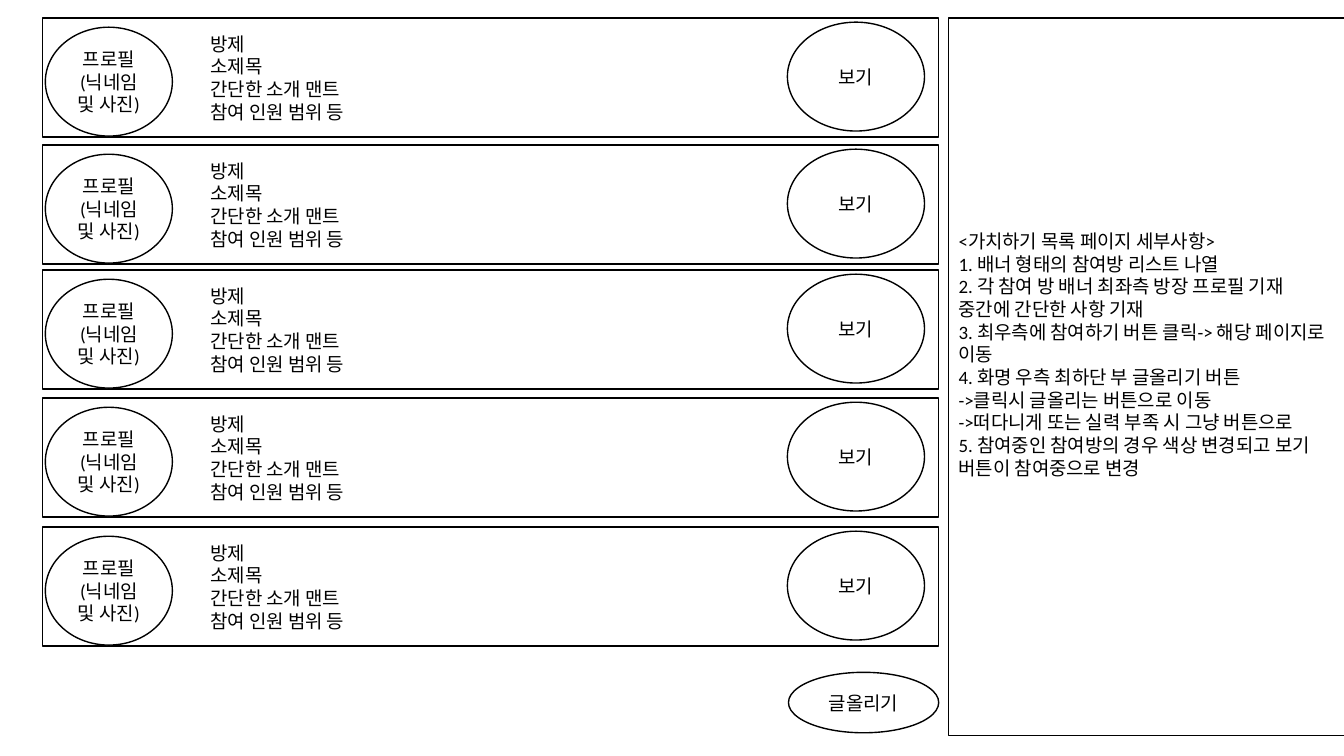
"""Build the wireframe slide of the room list page with its detail notes."""
from dataclasses import dataclass

from pptx import Presentation
from pptx.dml.color import RGBColor
from pptx.enum.shapes import MSO_SHAPE as Shape
from pptx.enum.text import MSO_ANCHOR as Anchor, MSO_AUTO_SIZE as AutoSize, PP_ALIGN as Align
from pptx.util import Inches, Pt


@dataclass(frozen=True)
class Theme:
    paper: RGBColor = RGBColor(0xFF, 0xFF, 0xFF)
    ink: RGBColor = RGBColor(0, 0, 0)
    font: str = "Calibri"
    size: Pt = Pt(13.5)
    outline: Pt = Pt(1)


theme = Theme()
ROW_TOPS = [0.18, 1.44, 2.68, 3.95, 5.23]
ROOM_LINES = ["방제", "소제목", "간단한 소개 맨트", "참여 인원 범위 등"]
NOTES = [
    "<가치하기 목록 페이지 세부사항>",
    "1. 배너 형태의 참여방 리스트 나열",
    "2. 각 참여 방 배너 최좌측 방장 프로필 기재 중간에 간단한 사항 기재",
    "3. 최우측에 참여하기 버튼 클릭-> 해당 페이지로 이동",
    "4. 화명 우측 최하단 부 글올리기 버튼",
    "->클릭시 글올리는 버튼으로 이동",
    "->떠다니게 또는 실력 부족 시 그냥 버튼으로",
    "5. 참여중인 참여방의 경우 색상 변경되고 보기 버튼이 참여중으로 변경",
]


def write(box, paragraphs, align):
    frame = box.text_frame
    frame.word_wrap = True
    for index, text in enumerate(paragraphs):
        para = frame.add_paragraph() if index else frame.paragraphs[0]
        para.alignment = align
        for part, line in enumerate(text.split("\n")):
            if part:
                para.add_line_break()
            span = para.add_run()
            span.text = line
            span.font.name = theme.font
            span.font.size = theme.size
            span.font.color.rgb = theme.ink


def outlined(kind, left, top, width, height, paragraphs=(), align=Align.CENTER):
    box = page.shapes.add_shape(kind, Inches(left), Inches(top), Inches(width), Inches(height))
    box.shadow.inherit = False
    box.fill.solid()
    box.fill.fore_color.rgb = theme.paper
    box.line.color.rgb = theme.ink
    box.line.width = theme.outline
    box.text_frame.vertical_anchor = Anchor.MIDDLE
    write(box, paragraphs, align)
    return box


deck = Presentation()
deck.slide_width, deck.slide_height = Inches(13.33), Inches(7.5)
page = deck.slides.add_slide(deck.slide_layouts[6])

outlined(Shape.OVAL, 7.82, 6.67, 1.49, 0.6, ["글올리기"])

notes_panel = outlined(Shape.RECTANGLE, 9.41, 0.18, 3.94, 7.12, NOTES, Align.LEFT)
notes_panel.text_frame.margin_bottom = Inches(0.5)

for top in ROW_TOPS:
    outlined(Shape.RECTANGLE, 0.42, top, 8.89, 1.18)
    outlined(Shape.OVAL, 7.81, top + 0.04, 1.36, 1.08, ["보기"])
    outlined(Shape.OVAL, 0.45, top + 0.09, 1.26, 1.08, ["프로필\n(닉네임 및 사진)"])
    room_text = page.shapes.add_textbox(Inches(1.99), Inches(top + 0.09), Inches(4.4), Inches(1.24))
    room_text.text_frame.auto_size = AutoSize.SHAPE_TO_FIT_TEXT
    write(room_text, ROOM_LINES, Align.LEFT)

deck.save("out.pptx")
